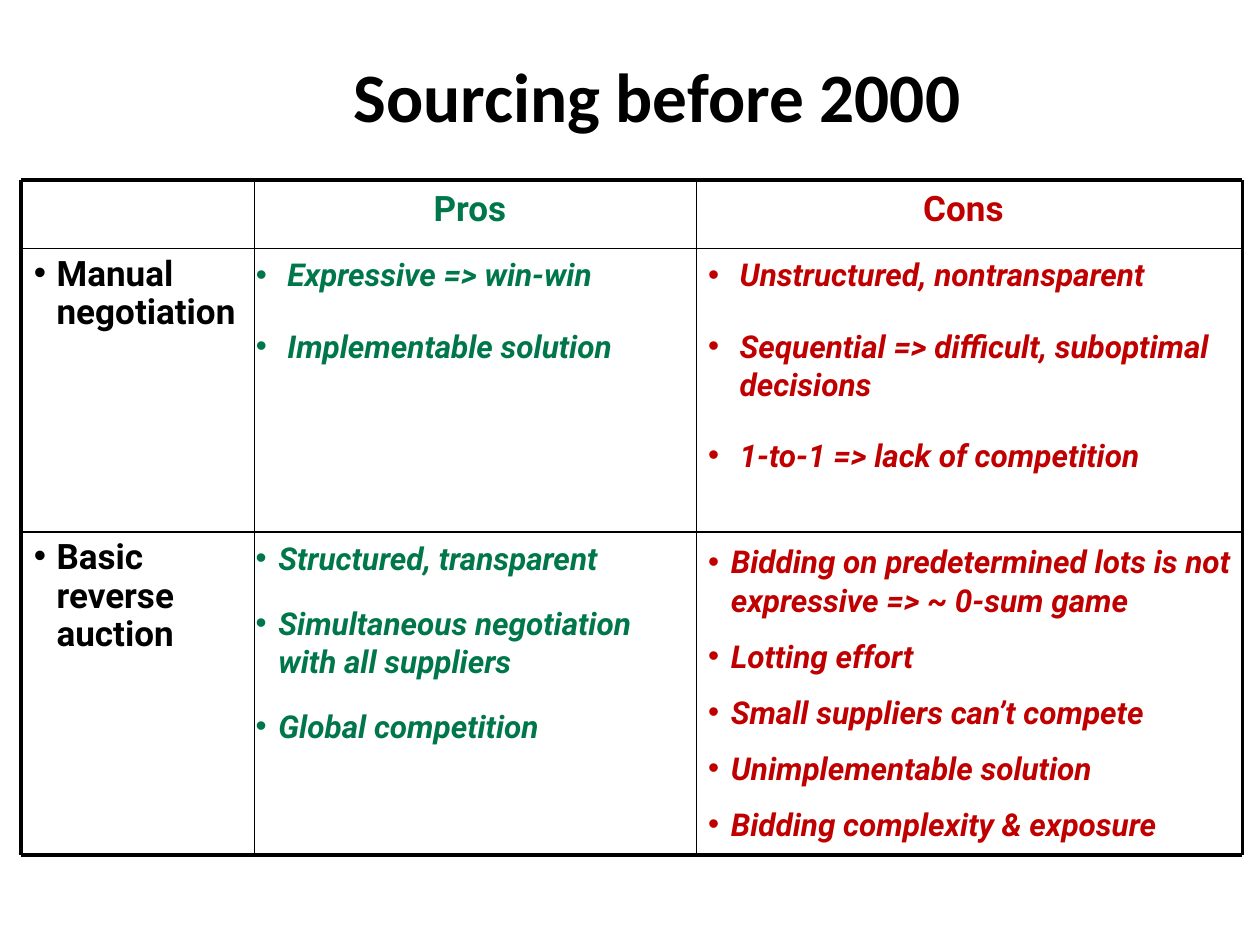
from dataclasses import dataclass
from typing import Optional

from lxml.etree import SubElement
from pptx import Presentation
from pptx.dml.color import RGBColor
from pptx.enum.shapes import MSO_CONNECTOR
from pptx.enum.text import MSO_ANCHOR, MSO_AUTO_SIZE, PP_ALIGN
from pptx.oxml.ns import qn
from pptx.util import Pt

COLORS = {"black": "000000", "pros": "00774A", "cons": "C00000"}
FONT = "Roboto"

# Grid, in points
COLUMN_EDGES = (12.25, 145.5, 398, 710)
ROW_EDGES = (103, 142, 304, 488.5)
LABEL_LEFT, PROS_LEFT, CONS_LEFT = 12.25, 139, 397.5
HEADER_TOP, MANUAL_TOP, AUCTION_TOP = ROW_EDGES[:3]


@dataclass
class Cell:
    left: float
    top: float
    width: float
    height: float
    color: str
    items: tuple[str, ...]
    size: float = 18
    italic: bool = True
    bullet: bool = True
    indent: float = 13
    before: float = 0
    after: float = 15
    placeholder: Optional[int] = None


CELLS = (
    # Column headers
    Cell(PROS_LEFT, HEADER_TOP, 259, 39, "pros", ("Pros",), size=20,
         italic=False, bullet=False, after=0, placeholder=1),
    Cell(398, HEADER_TOP, 305, 39, "cons", ("Cons",), size=20,
         italic=False, bullet=False, after=0, placeholder=3),
    # Manual negotiation
    Cell(LABEL_LEFT, MANUAL_TOP, 140, 162, "black", ("Manual negotiation",),
         size=20, italic=False),
    Cell(PROS_LEFT, MANUAL_TOP, 259, 162, "pros",
         ("Expressive => win-win", "Implementable solution"),
         indent=18, before=3.6, placeholder=2),
    Cell(CONS_LEFT, MANUAL_TOP, 317.5, 162, "cons",
         ("Unstructured, nontransparent",
          "Sequential => difficult, suboptimal decisions",
          "1-to-1 => lack of competition"),
         indent=18, before=3.6, placeholder=4),
    # Basic reverse auction
    Cell(LABEL_LEFT, AUCTION_TOP, 127, 184, "black",
         ("Basic reverse auction",), size=20, italic=False),
    Cell(PROS_LEFT, AUCTION_TOP, 259, 184, "pros",
         ("Structured, transparent",
          "Simultaneous negotiation with all suppliers",
          "Global competition")),
    Cell(CONS_LEFT, 306, 314, 174, "cons",
         ("Bidding on predetermined lots is not expressive => ~ 0-sum game",
          "Lotting effort", "Small suppliers can’t compete",
          "Unimplementable solution", "Bidding complexity & exposure"),
         after=10),
)


def place(shape, left: float, top: float, width: float, height: float) -> None:
    shape.left, shape.top = Pt(left), Pt(top)
    shape.width, shape.height = Pt(width), Pt(height)


def add_run(paragraph, text: str, font: str, size: float, color: str,
            italic: bool = False) -> None:
    run = paragraph.add_run()
    run.text = text
    run.font.name, run.font.size = font, Pt(size)
    run.font.bold, run.font.italic = True, italic
    run.font.color.rgb = RGBColor.from_string(COLORS[color])


def set_bullet(paragraph, cell: Cell) -> None:
    properties = paragraph._p.get_or_add_pPr()
    indent = Pt(cell.indent) if cell.bullet else 0
    properties.set("marL", str(indent))
    properties.set("indent", str(-indent))
    if cell.bullet:
        SubElement(properties, qn("a:buFont"), typeface="Arial")
        SubElement(properties, qn("a:buChar"), char="•")
    else:
        SubElement(properties, qn("a:buNone"))


def draw_cell(slide, cell: Cell) -> None:
    if cell.placeholder is None:
        box = slide.shapes.add_textbox(0, 0, 0, 0)
    else:
        box = slide.placeholders[cell.placeholder]
    place(box, cell.left, cell.top, cell.width, cell.height)
    frame = box.text_frame
    frame.word_wrap = True
    frame.auto_size = MSO_AUTO_SIZE.NONE
    frame.vertical_anchor = MSO_ANCHOR.TOP
    for index, item in enumerate(cell.items):
        paragraph = frame.add_paragraph() if index else frame.paragraphs[0]
        set_bullet(paragraph, cell)
        paragraph.alignment = PP_ALIGN.LEFT if cell.bullet else PP_ALIGN.CENTER
        paragraph.line_spacing = Pt(22) if cell.bullet else 1.0
        paragraph.space_before = Pt(cell.before if index else 0)
        paragraph.space_after = Pt(cell.after)
        add_run(paragraph, item, FONT, cell.size, cell.color, cell.italic)


def draw_rule(slide, x1: float, y1: float, x2: float, y2: float,
              weight: float) -> None:
    rule = slide.shapes.add_connector(
        MSO_CONNECTOR.STRAIGHT, Pt(x1), Pt(y1), Pt(x2), Pt(y2))
    rule.line.color.rgb = RGBColor.from_string(COLORS["black"])
    rule.line.width = Pt(weight)
    SubElement(rule._element.spPr, qn("a:effectLst"))


def draw_grid(slide) -> None:
    left, right = COLUMN_EDGES[0], COLUMN_EDGES[-1]
    top, bottom = ROW_EDGES[0], ROW_EDGES[-1]
    for y in ROW_EDGES:
        draw_rule(slide, left, y, right, y, 2.25 if y in (top, bottom) else 1)
    for x in COLUMN_EDGES:
        draw_rule(slide, x, top, x, bottom, 2.25 if x in (left, right) else 1)


def main() -> None:
    deck = Presentation()
    deck.slide_width, deck.slide_height = Pt(720), Pt(540)
    comparison_layout = deck.slide_layouts[4]
    slide = deck.slides.add_slide(comparison_layout)

    # Title
    title = slide.shapes.title
    place(title, 42, 30, 667, 48)
    title.text_frame.auto_size = MSO_AUTO_SIZE.NONE
    title.text_frame.vertical_anchor = MSO_ANCHOR.MIDDLE
    heading = title.text_frame.paragraphs[0]
    heading.alignment = PP_ALIGN.CENTER
    add_run(heading, "Sourcing before 2000", "Calibri", 39.6, "black")

    # Comparison of sourcing methods
    for cell in CELLS:
        draw_cell(slide, cell)
    draw_grid(slide)

    deck.save("out.pptx")


if __name__ == "__main__":
    main()
